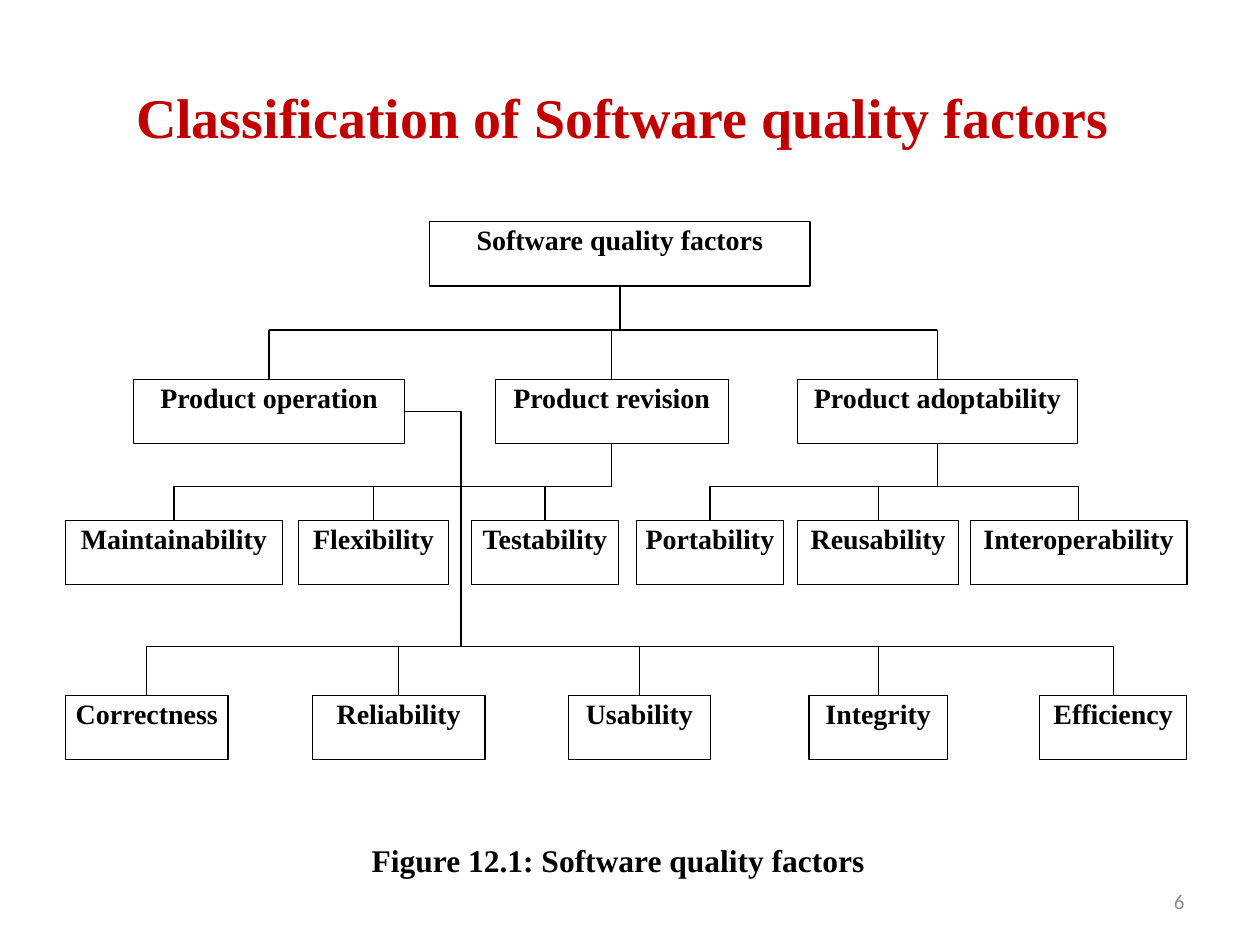
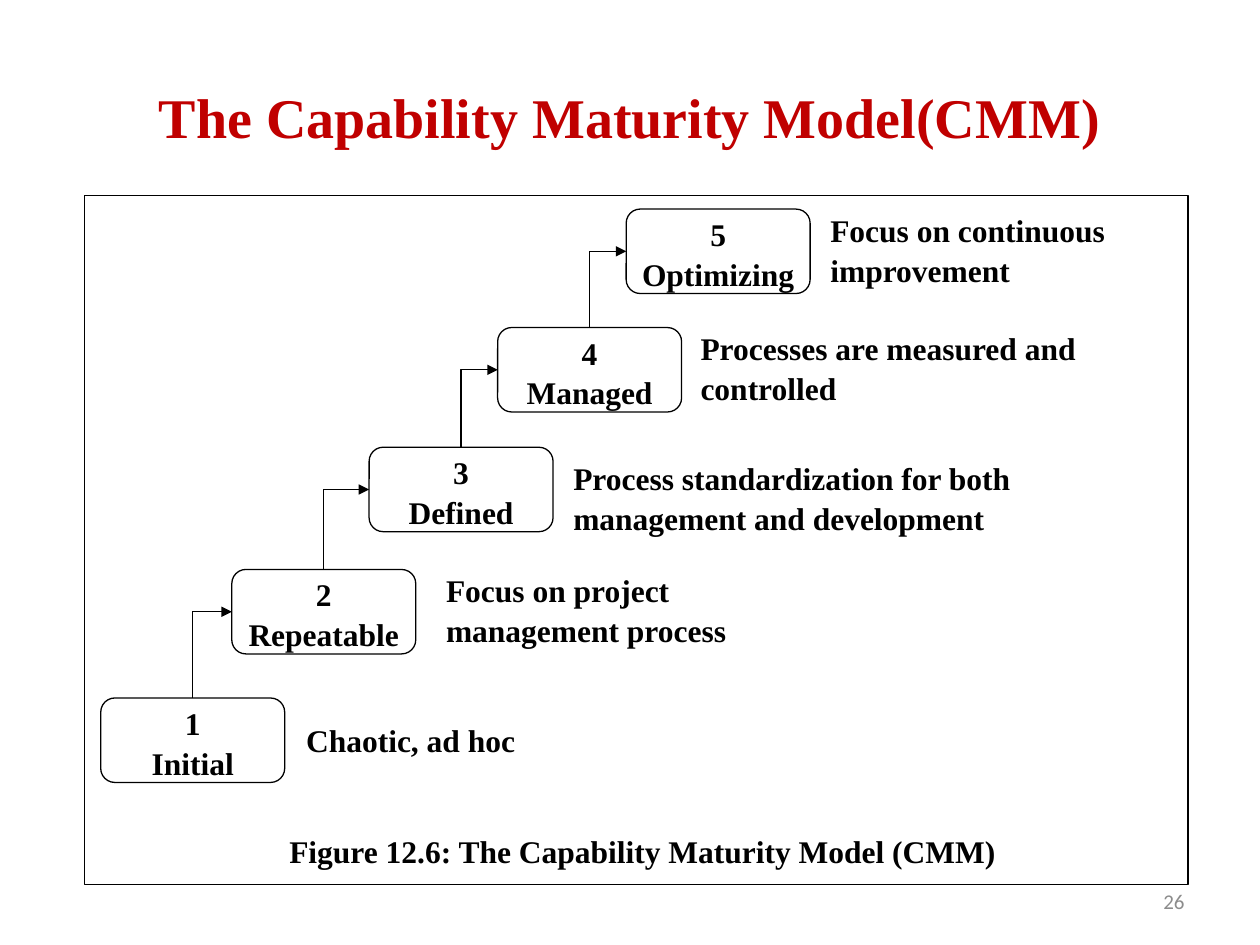
from lxml import etree
from pptx import Presentation
from pptx import util as u
from pptx.dml.color import RGBColor
from pptx.enum import shapes, text
from pptx.oxml.ns import qn

COLORS = {"title": "C00000", "ink": "000000", "paper": "FFFFFF", "page": "8C8C8C"}
SERIF, SANS = "Times New Roman", "Calibri"
ALIGN = text.PP_ALIGN

FACTOR_HEIGHT = 0.51
FACTOR_INSETS = (0.02, 0.01)
FACTOR_ROWS = [
    (1.76, [("Software quality factors", 3.41, 3.02)]),
    (3.01, [("Product operation", 1.06, 2.15), ("Product revision", 3.93, 1.85),
            ("Product adoptability", 6.33, 2.22)]),
    (4.13, [("Maintainability", 0.52, 1.72), ("Flexibility", 2.37, 1.19),
            ("Testability", 3.74, 1.17), ("Portability", 5.05, 1.17),
            ("Reusability", 6.33, 1.28), ("Interoperability", 7.7, 1.72)]),
    (5.52, [("Correctness", 0.52, 1.29), ("Reliability", 2.48, 1.37),
            ("Usability", 4.51, 1.13), ("Integrity", 6.42, 1.1),
            ("Efficiency", 8.25, 1.17)]),
]
BRANCHES = [
    ("Software quality factors", 2.62,
     ["Product operation", "Product revision", "Product adoptability"]),
    ("Product revision", 3.86, ["Maintainability", "Flexibility", "Testability"]),
    ("Product adoptability", 3.86, ["Portability", "Reusability", "Interoperability"]),
]
SIDE_BRANCH = ("Product operation", 3.66, 5.13,
               ["Correctness", "Reliability", "Usability", "Integrity", "Efficiency"])

LEVEL_SIZE = (1.46, 0.67)
LEVELS = [
    ("Initial", (0.8, 5.54), "Chaotic, ad hoc", (2.43, 5.71, 1.96, 0.33)),
    ("Repeatable", (1.84, 4.52), "Focus on project management process",
     (3.54, 4.52, 2.44, 0.67)),
    ("Defined", (2.93, 3.55),
     "Process standardization for both management and development",
     (4.55, 3.63, 3.82, 0.59)),
    ("Managed", (3.95, 2.6), "Processes are measured and controlled",
     (5.56, 2.6, 3.25, 0.67)),
    ("Optimizing", (4.97, 1.66), "Focus on continuous improvement",
     (6.59, 1.66, 2.43, 0.67)),
]


def rgb(name):
    return RGBColor.from_string(COLORS[name])


def write(sp, lines, size, color="ink", font=SERIF, bold=True,
          align=ALIGN.LEFT, anchor=text.MSO_ANCHOR.TOP, insets=None, spacing=None):
    tf = sp.text_frame
    tf.word_wrap = True
    tf.vertical_anchor = anchor
    if insets:
        tf.margin_left = tf.margin_right = u.Inches(insets[0])
        tf.margin_top = tf.margin_bottom = u.Inches(insets[1])
    for i, line in enumerate(lines):
        p = tf.add_paragraph() if i else tf.paragraphs[0]
        p.text = line
        p.alignment = align
        p.line_spacing = spacing
        p.font.size, p.font.name, p.font.bold = u.Pt(size), font, bold
        p.font.color.rgb = rgb(color)


def add_label(slide, at, line, size, **style):
    sp = slide.shapes.add_textbox(*map(u.Inches, at))
    write(sp, [line], size, anchor=text.MSO_ANCHOR.MIDDLE, **style)


def add_box(slide, at, fill="paper", line="ink", kind=shapes.MSO_SHAPE.RECTANGLE):
    sp = slide.shapes.add_shape(kind, *map(u.Inches, at))
    sp.shadow.inherit = False
    if fill:
        sp.fill.solid()
        sp.fill.fore_color.rgb = rgb(fill)
    else:
        sp.fill.background()
    sp.line.color.rgb = rgb(line)
    sp.line.width = u.Pt(0.75)
    return sp


def add_note(slide, at, line, align=ALIGN.LEFT):
    sp = add_box(slide, at, line="paper")
    write(sp, [line], 18, align=align, insets=(0, 0), spacing=1.05)


def add_line(slide, x1, y1, x2, y2, kind=shapes.MSO_CONNECTOR.STRAIGHT):
    cx = slide.shapes.add_connector(kind, x1, y1, x2, y2)
    cx.line.color.rgb = rgb("ink")
    cx.line.width = u.Pt(0.75)
    etree.SubElement(cx._element.spPr, qn("a:effectLst"))
    return cx


def add_elbow(slide, x1, y1, x2, y2):
    cx = add_line(slide, x1, y1, x2, y2, shapes.MSO_CONNECTOR.ELBOW)
    cx._element.spPr.find(qn("a:prstGeom")).set("prst", "bentConnector2")
    return cx


def add_step_arrow(slide, lower, upper):
    x1, y1 = lower.left + lower.width // 2, lower.top
    x2, y2 = upper.left, upper.top + upper.height // 2
    run, rise = x2 - x1, y1 - y2
    cx = add_elbow(slide, x1, y1, x2, y2)
    cx.begin_connect(lower, 0)
    cx.end_connect(upper, 1)
    cx.left, cx.top = (x1 + x2 - rise) // 2, (y1 + y2 - run) // 2
    cx.width, cx.height = rise, run
    xfrm = cx._element.spPr.find(qn("a:xfrm"))
    xfrm.attrib.pop("flipV", None)
    xfrm.set("rot", str(270 * 60000))
    etree.SubElement(cx.line._get_or_add_ln(), qn("a:tailEnd"), type="triangle")


def add_branch(slide, bar_y, children, origin_x):
    centers = [sp.left + sp.width // 2 for sp in children]
    reach = centers + [origin_x]
    add_line(slide, min(reach), bar_y, max(reach), bar_y)
    for sp, x in zip(children, centers):
        add_line(slide, x, bar_y, x, sp.top).end_connect(sp, 0)


def add_slide(prs, title, number):
    slide = prs.slides.add_slide(prs.slide_layouts[6])
    add_label(slide, (0.5, 0.3, 9, 1.25), title, 32, color="title", align=ALIGN.CENTER)
    add_label(slide, (7.17, 6.95, 2.33, 0.4), str(number), 12, color="page",
              font=SANS, bold=False, align=ALIGN.RIGHT)
    return slide


def build_factors(prs):
    slide = add_slide(prs, "Classification of Software quality factors ", 6)
    boxes = {}
    for top, row in FACTOR_ROWS:
        for name, left, width in row:
            sp = boxes[name] = add_box(slide, (left, top, width, FACTOR_HEIGHT))
            write(sp, [name], 16, align=ALIGN.CENTER, insets=FACTOR_INSETS)
    for parent, bar, children in BRANCHES:
        sp, bar_y = boxes[parent], u.Inches(bar)
        x = sp.left + sp.width // 2
        add_line(slide, x, sp.top + sp.height, x, bar_y).begin_connect(sp, 2)
        add_branch(slide, bar_y, [boxes[c] for c in children], x)
    parent, drop, bar, children = SIDE_BRANCH
    sp, x, bar_y = boxes[parent], u.Inches(drop), u.Inches(bar)
    add_elbow(slide, sp.left + sp.width, sp.top + sp.height // 2, x, bar_y)
    add_branch(slide, bar_y, [boxes[c] for c in children], x)
    add_note(slide, (2.95, 6.66, 3.96, 0.38), "Figure 12.1: Software quality factors")


def build_maturity(prs):
    slide = add_slide(prs, "The Capability Maturity Model(CMM)", 26)
    add_box(slide, (0.67, 1.55, 8.76, 5.47), fill=None)
    steps = []
    for number, (name, corner, focus, focus_at) in enumerate(LEVELS, 1):
        sp = add_box(slide, corner + LEVEL_SIZE,
                     kind=shapes.MSO_SHAPE.ROUNDED_RECTANGLE)
        write(sp, [str(number), name], 18, align=ALIGN.CENTER,
              insets=(0, 0), spacing=1.05)
        add_note(slide, focus_at, focus)
        steps.append(sp)
    for lower, upper in zip(steps, steps[1:]):
        add_step_arrow(slide, lower, upper)
    add_note(slide, (1.84, 6.59, 6.52, 0.35),
             "Figure 12.6: The Capability Maturity Model (CMM)", ALIGN.CENTER)


def main():
    prs = Presentation()
    prs.slide_width, prs.slide_height = u.Inches(10), u.Inches(7.5)
    build_factors(prs)
    build_maturity(prs)
    prs.save("out.pptx")


if __name__ == "__main__":
    main()
